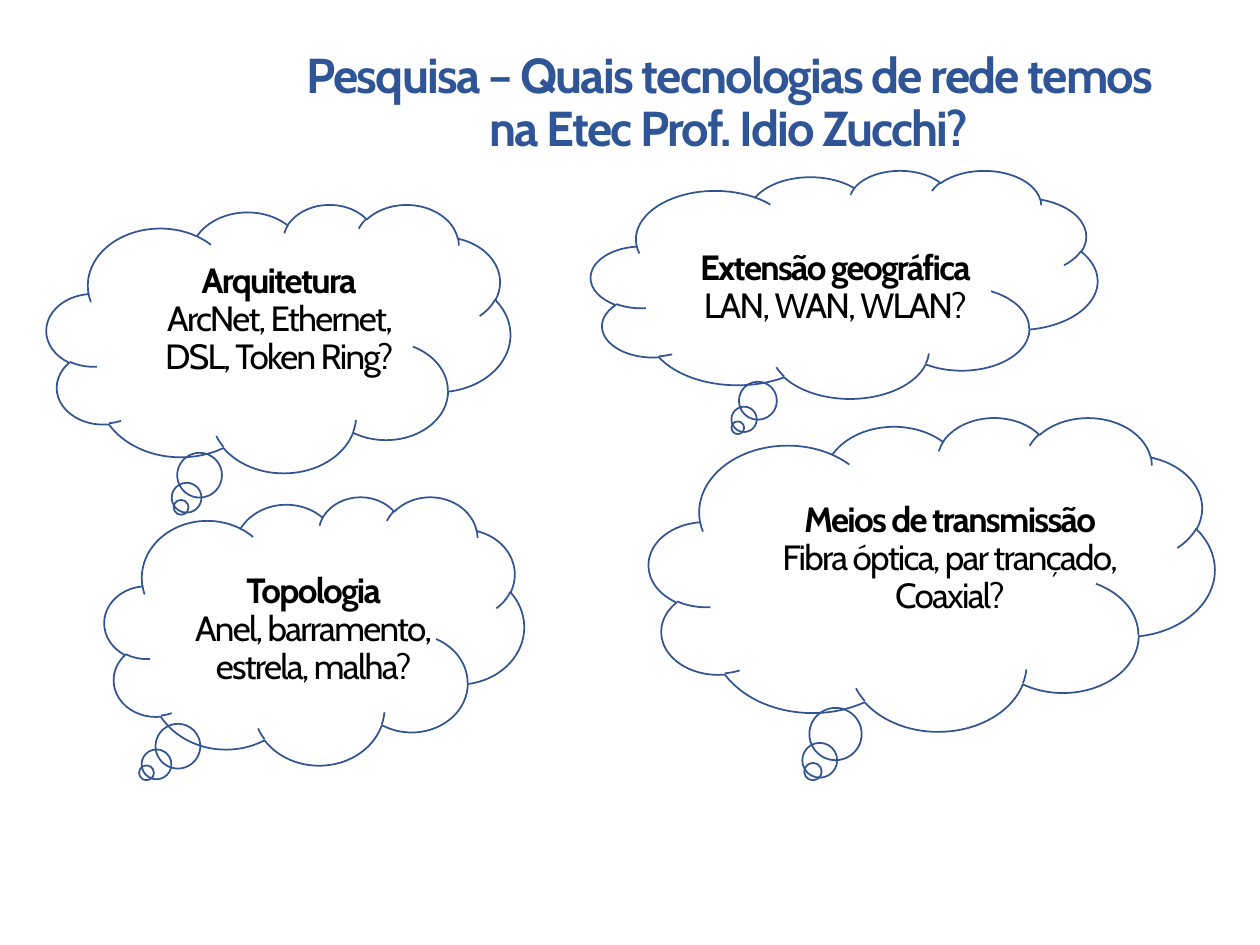
import pptx
import pptx.util
import pptx.dml.color
import pptx.enum.shapes
import pptx.enum.text

COLORS = {"title": "2F5597", "outline": "325491", "text": "000000"}

deck = pptx.Presentation()
deck.slide_width = pptx.util.Inches(10)
deck.slide_height = pptx.util.Inches(7.5)
slide = deck.slides.add_slide(deck.slide_layouts[6])
column = deck.slide_width / 100
row = deck.slide_height / 75


def on_grid(left, top, width, height):
    return [round(n * unit) for n, unit in zip((left, top, width, height), (column, row) * 2)]


def write(box, lines, size, color, wrap):
    frame = slide.shapes.add_textbox(*on_grid(*box)).text_frame
    frame.word_wrap = wrap
    for index, line in enumerate(lines):
        paragraph = frame.paragraphs[0] if index == 0 else frame.add_paragraph()
        paragraph.alignment = pptx.enum.text.PP_ALIGN.CENTER
        paragraph.line_spacing = 0.9
        paragraph.font.name = "Cabin"
        paragraph.font.size = pptx.util.Pt(size)
        paragraph.font.bold = index == 0
        paragraph.font.color.rgb = pptx.dml.color.RGBColor.from_string(COLORS[color])
        run = paragraph.add_run()
        run.text = line
        run.font._element.set("spc", "-100")


write((22.4, 3.6, 70.9, 6.1),
      ["Pesquisa – Quais tecnologias de rede temos na Etec Prof. Idio Zucchi?"],
      28, "title", True)

DEFAULT_TAIL = (-0.21, 0.63)
topics = [
    ((3.7, 16.2, 36.8, 21.3), DEFAULT_TAIL, (10.1, 20.4, 24.1, 10.1), True,
     ["Arquitetura", "ArcNet, Ethernet, DSL, Token Ring?"]),
    ((46.9, 13.5, 40.2, 18.1), DEFAULT_TAIL, (52.3, 19.4, 28, 7.1), False,
     ["Extensão geográfica", "LAN, WAN, WLAN?"]),
    ((51.5, 33.1, 44.9, 24.9), DEFAULT_TAIL, (60, 39.4, 30.8, 10.1), False,
     ["Meios de transmissão", "Fibra óptica, par trançado,", "Coaxial?"]),
    ((8.3, 39.4, 33.3, 21.3), (-0.4, 0.53), (13.6, 45, 22.6, 10.1), False,
     ["Topologia", "Anel, barramento,", "estrela, malha?"]),
]

for cloud_box, tail, text_box, wrap, lines in topics:
    cloud = slide.shapes.add_shape(
        pptx.enum.shapes.MSO_SHAPE.CLOUD_CALLOUT, *on_grid(*cloud_box))
    cloud.shadow.inherit = False
    cloud.fill.background()
    cloud.line.color.rgb = pptx.dml.color.RGBColor.from_string(COLORS["outline"])
    cloud.line.width = pptx.util.Pt(1)
    cloud.adjustments[0], cloud.adjustments[1] = tail
    write(text_box, lines, 20, "text", wrap)

deck.save("out.pptx")
